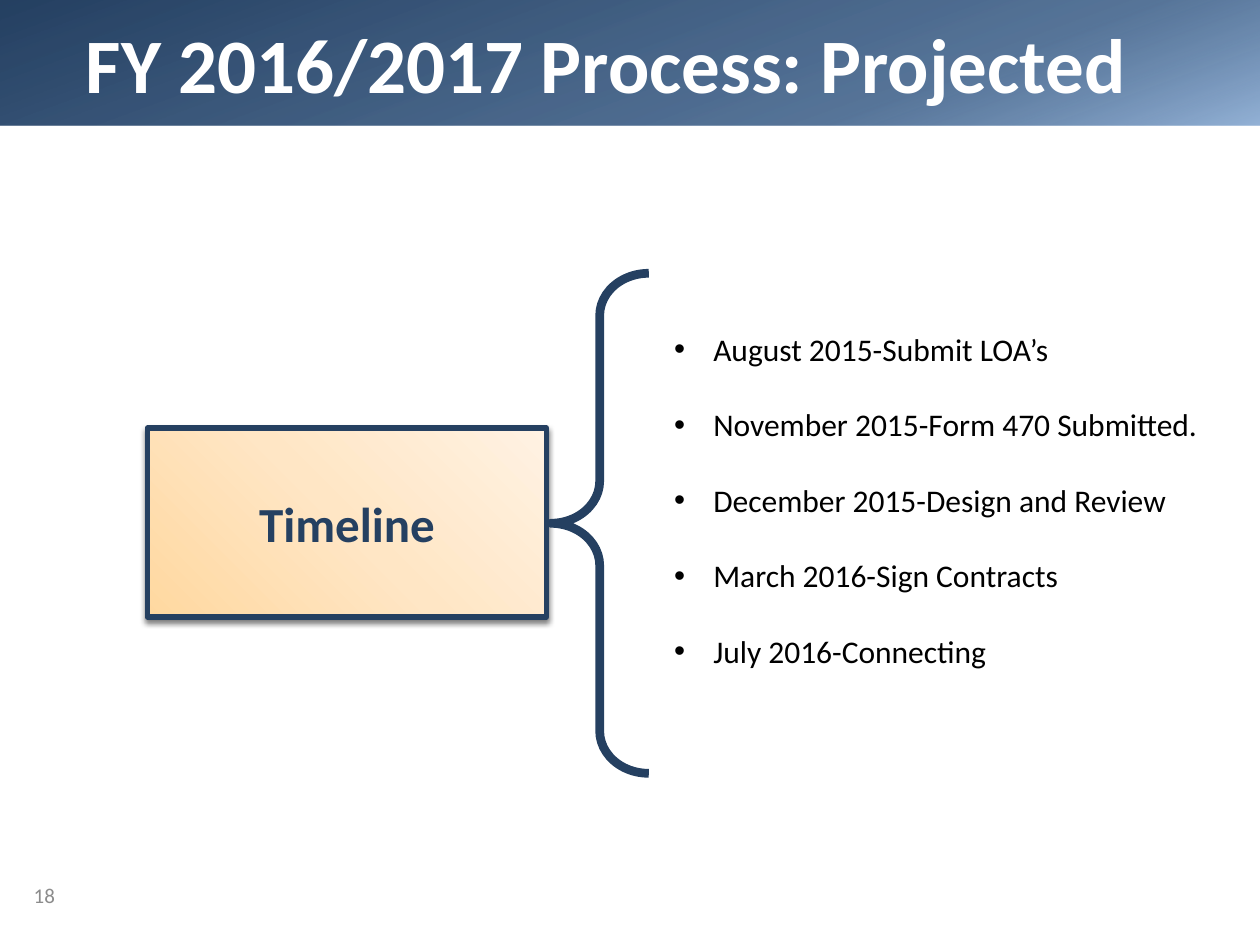
from lxml import etree
from pptx import Presentation
from pptx.dml.color import RGBColor
from pptx.enum.shapes import MSO_SHAPE as SHAPE
from pptx.enum.text import MSO_ANCHOR as ANCHOR, PP_ALIGN as ALIGN
from pptx.oxml.ns import qn
from pptx.util import Cm, Pt

COLORS = {
    "navy": "254061", "steel": "305581", "sky": "95B3D7",
    "orange": "FFD8A0", "peach": "FFE6C5", "cream": "FFF2E3",
    "white": "FFFFFF", "black": "000000", "gray": "8C8C8C",
}
FONT = "Calibri"
MILESTONES = [
    "August 2015-Submit LOA’s",
    "November 2015-Form 470 Submitted.",
    "December 2015-Design and Review",
    "March 2016-Sign Contracts",
    "July 2016-Connecting",
]


def rgb(name):
    return RGBColor.from_string(COLORS[name])


def add_color(parent, name, alpha=100):
    clr = etree.SubElement(parent, qn("a:srgbClr"), val=COLORS[name])
    if alpha < 100:
        etree.SubElement(clr, qn("a:alpha"), val=str(alpha * 1000))


def set_gradient(shape, stops, angle):
    shape.fill.gradient()
    shape.fill.gradient_angle = 360 - angle
    gs_list = shape.element.spPr.find(qn("a:gradFill")).find(qn("a:gsLst"))
    for gs in list(gs_list):
        gs_list.remove(gs)
    for pos, name, alpha in stops:
        gs = etree.SubElement(gs_list, qn("a:gs"), pos=str(pos * 1000))
        add_color(gs, name, alpha)


def set_shadow(shape, blur, dist):
    effects = shape.element.spPr.find(qn("a:effectLst"))
    shadow = etree.SubElement(effects, qn("a:outerShdw"), blurRad=str(Pt(blur)),
                              dist=str(Pt(dist)), dir=str(90 * 60000), rotWithShape="0")
    add_color(shadow, "black", 50)


def set_bullet(p, indent):
    pPr = p._p.get_or_add_pPr()
    pPr.set("marL", str(indent))
    pPr.set("indent", str(-indent))
    etree.SubElement(pPr, qn("a:buFont"), typeface="Arial")
    etree.SubElement(pPr, qn("a:buChar"), char="•")


def write(tf, lines, size, color, bold=False, align=ALIGN.LEFT,
          anchor=ANCHOR.MIDDLE, bullet=None, gap=0):
    tf.word_wrap = True
    tf.vertical_anchor = anchor
    for i, line in enumerate(lines):
        p = tf.paragraphs[0] if i == 0 else tf.add_paragraph()
        p.alignment = align
        if i:
            p.space_before = Pt(gap)
        if bullet:
            set_bullet(p, bullet)
        r = p.add_run()
        r.text = line
        r.font.name = FONT
        r.font.size = Pt(size)
        r.font.bold = bold
        r.font.color.rgb = rgb(color)


def add_shape(s, kind, x, y, w, h, line=None, width=0):
    sp = s.shapes.add_shape(kind, Cm(x), Cm(y), Cm(w), Cm(h))
    sp.shadow.inherit = False
    if line:
        sp.line.color.rgb = rgb(line)
        sp.line.width = Pt(width)
    else:
        sp.line.fill.background()
    return sp


def add_text(s, x, y, w, h, lines, **fmt):
    box = s.shapes.add_textbox(Cm(x), Cm(y), Cm(w), Cm(h))
    write(box.text_frame, lines, **fmt)


def add_banner(s, x, y, w, h, title):
    band = add_shape(s, SHAPE.RECTANGLE, x, y, w, h)
    set_gradient(band, [(0, "navy", 100), (72, "steel", 81), (100, "sky", 100)], 70)
    add_text(s, x + 1.48, y + 0.21, w - 2.33, h - 0.42, [title],
             size=44, color="white", bold=True)


def add_timeline(s, x, y, w, h, label, milestones):
    card_w, card_h = 8.05, 3.81
    card = add_shape(s, SHAPE.RECTANGLE, x, y + 3.12, card_w, card_h, "navy", 3)
    set_gradient(card, [(0, "orange", 100), (50, "peach", 100), (100, "cream", 100)], 315)
    set_shadow(card, blur=3, dist=2)
    write(card.text_frame, [label], size=28, color="navy", bold=True, align=ALIGN.CENTER)

    brace = add_shape(s, SHAPE.LEFT_BRACE, x + 8.13, y, 1.98, h, "navy", 5)
    brace.fill.background()
    brace.adjustments[0] = 0.43

    list_x = 10.37
    add_text(s, x + list_x, y + 1.02, w - list_x, 7.19, milestones, size=18,
             color="black", anchor=ANCHOR.TOP, bullet=Cm(0.79), gap=21.5)


def add_footer(s, x, y, w, h, number):
    add_text(s, x, y, w, h, [number], size=12, color="gray")


def main():
    prs = Presentation()
    prs.slide_width, prs.slide_height = Cm(25.4), Cm(19.05)
    s = prs.slides.add_slide(prs.slide_layouts[6])
    add_banner(s, 0, 0, 25.4, 2.54, "FY 2016/2017 Process: Projected")
    add_timeline(s, 2.97, 5.51, 21.59, 10.08, "Timeline", MILESTONES)
    add_footer(s, 0.43, 17.53, 5.92, 1.02, "18")
    prs.save("out.pptx")


if __name__ == "__main__":
    main()
